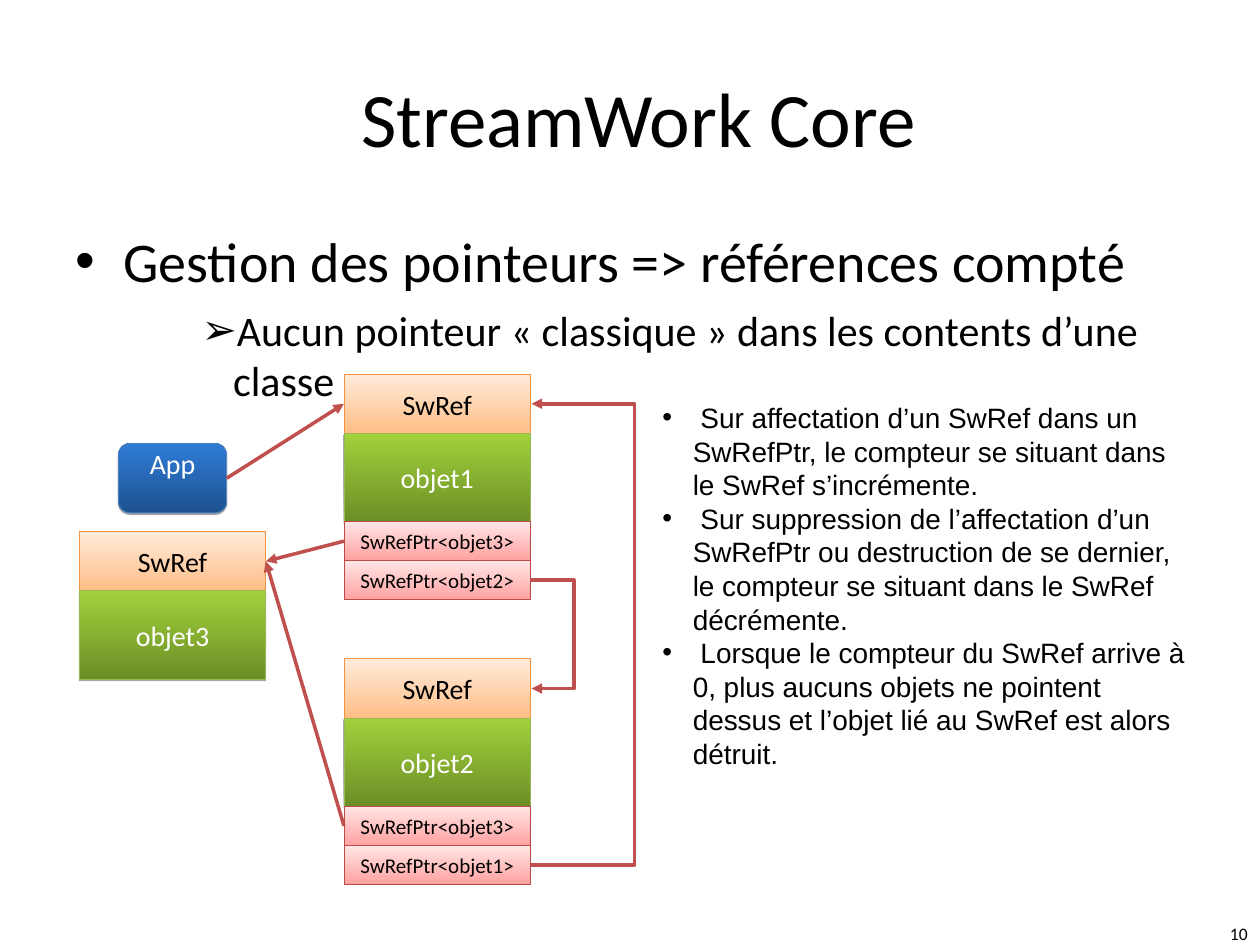
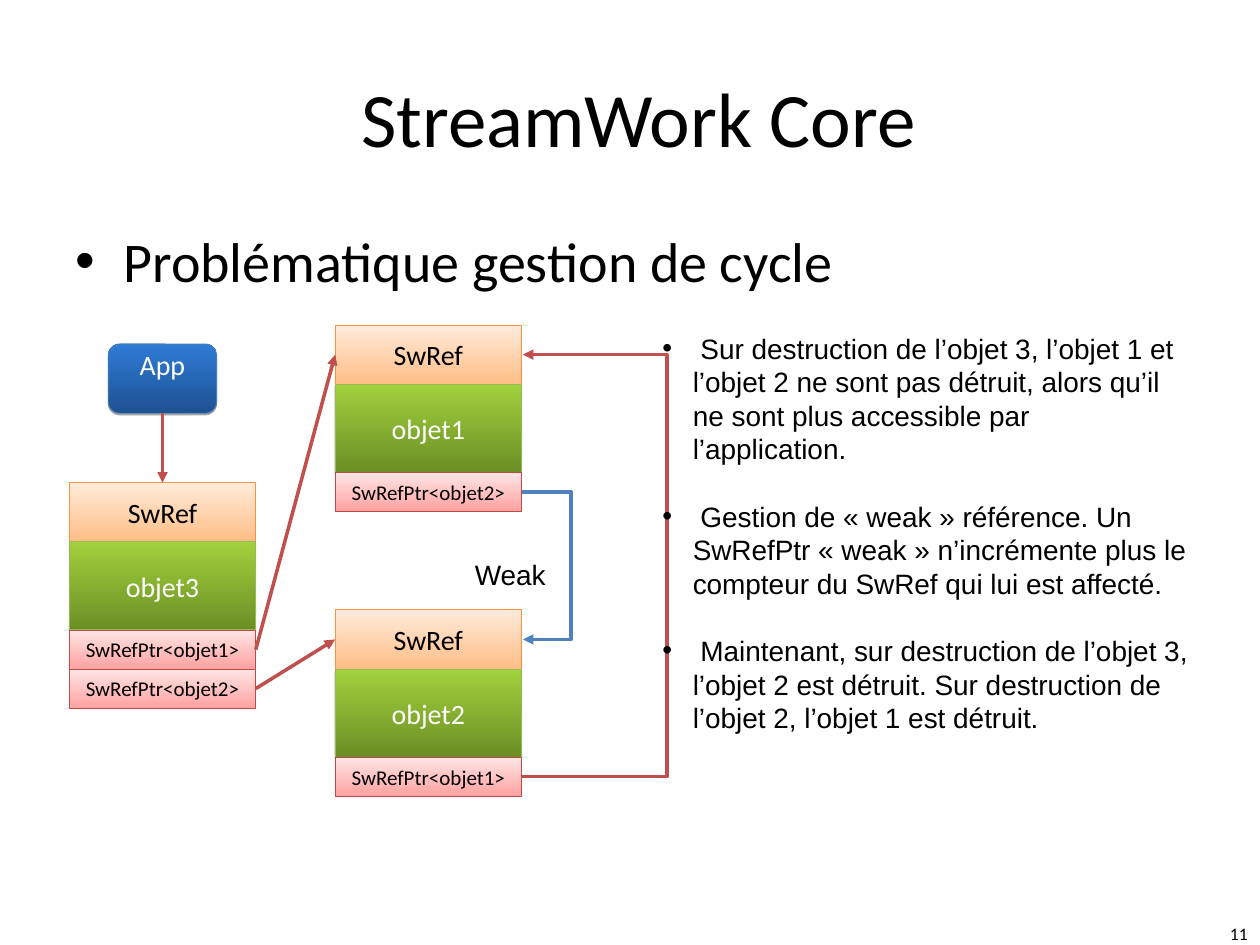
from lxml.etree import SubElement
from pptx import Presentation
from pptx.dml.color import RGBColor
from pptx.enum.shapes import MSO_CONNECTOR, MSO_SHAPE
from pptx.enum.text import MSO_ANCHOR, MSO_AUTO_SIZE, PP_ALIGN
from pptx.oxml.ns import qn
from pptx.util import Inches, Pt

BLACK = RGBColor(0x00, 0x00, 0x00)
WHITE = RGBColor(0xFF, 0xFF, 0xFF)
RED = RGBColor(0xC0, 0x50, 0x4D)
BLUE = RGBColor(0x4F, 0x81, 0xBD)

# Box styles: bottom colour, top colour, outline, text colour
ORANGE_BOX = (RGBColor(0xFF, 0xBE, 0x86), RGBColor(0xFF, 0xEB, 0xDB), RGBColor(0xF6, 0x92, 0x40), BLACK)
GREEN_BOX = (RGBColor(0x6C, 0x8E, 0x26), RGBColor(0xA1, 0xD1, 0x3C), RGBColor(0x98, 0xB9, 0x54), WHITE)
PINK_BOX = (RGBColor(0xFF, 0xA2, 0xA1), RGBColor(0xFF, 0xE5, 0xE5), RGBColor(0xBE, 0x4B, 0x48), BLACK)
BLUE_BOX = (RGBColor(0x1D, 0x52, 0x91), RGBColor(0x2F, 0x7B, 0xD6), RGBColor(0x4A, 0x7E, 0xBB), WHITE)

HEADING_FONT = "Calibri"
NOTE_FONT = "Arial"
NOTE_LINE = Pt(19.2)

OBJECT_WIDTH = 1.48
REF_HEIGHT, OBJECT_HEIGHT, POINTER_HEIGHT = 0.47, 0.7, 0.31

# Connection sites of a rectangle
TOP, LEFT, BOTTOM, RIGHT = range(4)


class Deck:
    def __init__(self):
        self.presentation = Presentation()
        self.presentation.slide_width = Inches(10)
        self.presentation.slide_height = Inches(7.5)
        self.slide = None

    def format_runs(self, paragraph, size, font=HEADING_FONT, color=BLACK):
        for run in paragraph.runs:
            run.font.size = Pt(size)
            run.font.name = font
            run.font.color.rgb = color

    def set_bullet(self, paragraph, character, margin, hanging):
        properties = paragraph._p.get_or_add_pPr()
        properties.set("marL", str(Inches(margin)))
        properties.set("indent", str(-Inches(hanging)))
        SubElement(properties, qn("a:buFont"), typeface="Arial")
        SubElement(properties, qn("a:buChar"), char=character)

    def place(self, shape, left, top, width, height):
        shape.left, shape.top = Inches(left), Inches(top)
        shape.width, shape.height = Inches(width), Inches(height)

    def add_slide(self, number, heading, detail=None):
        layout = self.presentation.slide_layouts[1]
        self.slide = self.presentation.slides.add_slide(layout)

        # Title
        title = self.slide.shapes.title
        self.place(title, 0.5, 0.3, 9, 1.25)
        title.text_frame.text = " StreamWork Core"
        title.text_frame.vertical_anchor = MSO_ANCHOR.MIDDLE
        self.format_runs(title.text_frame.paragraphs[0], 44)

        # Heading and detail
        body = self.slide.placeholders[1]
        self.place(body, 0.5, 1.75, 9, 1.69 if detail else 0.67)
        frame = body.text_frame
        frame.auto_size = MSO_AUTO_SIZE.NONE
        paragraph = frame.paragraphs[0]
        paragraph.text = heading
        self.set_bullet(paragraph, "•", 0.38, 0.38)
        paragraph.space_before = Pt(0)
        self.format_runs(paragraph, 32)
        if detail:
            paragraph = frame.add_paragraph()
            paragraph.text = detail
            paragraph.level = 2
            self.set_bullet(paragraph, "➢", 1.25, 0.25)
            paragraph.space_before = Pt(6)
            self.format_runs(paragraph, 24)

        # Slide number
        frame = self.add_text_frame(7.67, 7.21, 2.33, 0.4)
        frame.vertical_anchor = MSO_ANCHOR.MIDDLE
        frame.text = str(number)
        frame.paragraphs[0].alignment = PP_ALIGN.RIGHT
        self.format_runs(frame.paragraphs[0], 10)

    def add_text_frame(self, left, top, width, height):
        box = self.slide.shapes.add_textbox(Inches(left), Inches(top), Inches(width), Inches(height))
        box.text_frame.word_wrap = True
        return box.text_frame

    def add_label(self, text, left, top, width, height):
        frame = self.add_text_frame(left, top, width, height)
        frame.text = text
        frame.paragraphs[0].line_spacing = NOTE_LINE
        self.format_runs(frame.paragraphs[0], 16, NOTE_FONT)

    def add_notes_list(self, top, items, gap=Pt(0)):
        frame = self.add_text_frame(5.16, top, 4.37, 3.03)
        for index, item in enumerate(items):
            paragraph = frame.add_paragraph() if index else frame.paragraphs[0]
            paragraph.text = " " + item
            self.set_bullet(paragraph, "•", 0.24, 0.24)
            paragraph.line_spacing = NOTE_LINE
            paragraph.space_before = gap if index else Pt(0)
            self.format_runs(paragraph, 16, NOTE_FONT)

    def add_box(self, text, left, top, width, height, style, size=16, kind=MSO_SHAPE.RECTANGLE):
        bottom_color, top_color, line_color, text_color = style
        shape = self.slide.shapes.add_shape(kind, Inches(left), Inches(top), Inches(width), Inches(height))
        shape.fill.gradient()
        shape.fill.gradient_angle = 90
        for stop, color in zip(shape.fill.gradient_stops, (bottom_color, top_color)):
            stop.color.rgb = color
        shape.line.color.rgb = line_color
        shape.line.width = Pt(0.5)
        shape.shadow.inherit = False
        if text_color == WHITE:
            self.add_shadow(shape)
        frame = shape.text_frame
        frame.vertical_anchor = MSO_ANCHOR.MIDDLE
        frame.text = text
        frame.paragraphs[0].alignment = PP_ALIGN.CENTER
        self.format_runs(frame.paragraphs[0], size, color=text_color)
        return shape

    def add_shadow(self, shape):
        effects = shape.element.spPr.find(qn("a:effectLst"))
        shadow = SubElement(effects, qn("a:outerShdw"), dist=str(Pt(1)), dir="5400000", rotWithShape="0")
        color = SubElement(shadow, qn("a:srgbClr"), val=str(BLACK))
        SubElement(color, qn("a:alpha"), val="35000")

    def add_app(self, left, top):
        app = self.add_box("App", left, top, 0.86, 0.55, BLUE_BOX, kind=MSO_SHAPE.ROUNDED_RECTANGLE)
        app.text_frame.vertical_anchor = MSO_ANCHOR.TOP
        app.text_frame.margin_top = 0
        return app

    def add_object(self, number, left, top, targets=()):
        """Stack a counter, an object and its pointers; return counter and pointers."""
        counter = self.add_box("SwRef", left, top, OBJECT_WIDTH, REF_HEIGHT, ORANGE_BOX)
        top += REF_HEIGHT
        self.add_box(f"objet{number}", left, top, OBJECT_WIDTH, OBJECT_HEIGHT, GREEN_BOX)
        top += OBJECT_HEIGHT
        pointers = [
            self.add_box(f"SwRefPtr<objet{target}>", left, top + index * POINTER_HEIGHT,
                         OBJECT_WIDTH, POINTER_HEIGHT, PINK_BOX, size=12)
            for index, target in enumerate(targets)
        ]
        return counter, pointers

    def style_arrow(self, connector, color):
        connector.line.color.rgb = color
        connector.line.width = Pt(2)
        properties = connector.element.spPr
        SubElement(properties.find(qn("a:ln")), qn("a:tailEnd"), type="triangle")
        SubElement(properties, qn("a:effectLst"))

    def add_arrow(self, source, source_site, target, target_site):
        connector = self.slide.shapes.add_connector(MSO_CONNECTOR.STRAIGHT, 0, 0, 0, 0)
        connector.begin_connect(source, source_site)
        connector.end_connect(target, target_site)
        self.style_arrow(connector, RED)

    def add_loop(self, source, target, reach, color=RED):
        """Elbow arrow leaving and arriving on the right, bulging out by reach inches."""
        right = source.left + source.width
        offset = Inches(0.01)
        connector = self.slide.shapes.add_connector(
            MSO_CONNECTOR.ELBOW,
            right, source.top + source.height // 2,
            right + offset, target.top + target.height // 2)
        guides = connector.element.spPr.find(qn("a:prstGeom")).find(qn("a:avLst"))
        bend = round(Inches(reach) / offset * 100000)
        SubElement(guides, qn("a:gd"), name="adj1", fmla=f"val {bend}")
        self.style_arrow(connector, color)


def build_counting_slide(deck):
    deck.add_slide(10, "Gestion des pointeurs => références compté",
                   "Aucun pointeur « classique » dans les contents d’une classe")
    # Objects
    counter3, _ = deck.add_object(3, 0.63, 4.22)
    counter2, (pointer2_to_3, pointer2_to_1) = deck.add_object(2, 2.73, 5.23, (3, 1))
    counter1, (pointer1_to_3, pointer1_to_2) = deck.add_object(1, 2.73, 2.97, (3, 2))
    app = deck.add_app(0.94, 3.52)
    # References
    deck.add_arrow(pointer1_to_3, LEFT, counter3, RIGHT)
    deck.add_arrow(pointer2_to_3, LEFT, counter3, RIGHT)
    deck.add_arrow(app, RIGHT, counter1, LEFT)
    deck.add_loop(pointer1_to_2, counter2, 0.35)
    deck.add_loop(pointer2_to_1, counter1, 0.84)
    # Explanation
    deck.add_notes_list(3.13, [
        "Sur affectation d’un SwRef dans un SwRefPtr, le compteur se situant dans le SwRef s’incrémente.",
        "Sur suppression de l’affectation d’un SwRefPtr ou destruction de se dernier, "
        "le compteur se situant dans le SwRef décrémente.",
        "Lorsque le compteur du SwRef arrive à 0, plus aucuns objets ne pointent dessus "
        "et l’objet lié au SwRef est alors détruit.",
    ])


def build_cycle_slide(deck):
    deck.add_slide(11, "Problématique gestion de cycle")
    # Objects
    counter3, (pointer3_to_1, pointer3_to_2) = deck.add_object(3, 0.55, 3.83, (1, 2))
    counter2, (pointer2_to_1,) = deck.add_object(2, 2.66, 4.84, (1,))
    counter1, (pointer1_to_2,) = deck.add_object(1, 2.66, 2.58, (2,))
    app = deck.add_app(0.86, 2.73)
    # References
    deck.add_arrow(pointer3_to_1, RIGHT, counter1, LEFT)
    deck.add_arrow(pointer3_to_2, RIGHT, counter2, LEFT)
    deck.add_arrow(app, BOTTOM, counter3, TOP)
    deck.add_loop(pointer1_to_2, counter2, 0.4, BLUE)
    deck.add_loop(pointer2_to_1, counter1, 1.17)
    deck.add_label("Weak", 3.67, 4.38, 0.77, 0.37)
    # Explanation
    deck.add_notes_list(2.58, [
        "Sur destruction de l’objet 3, l’objet 1 et l’objet 2 ne sont pas détruit, "
        "alors qu’il ne sont plus accessible par l’application.",
        "Gestion de « weak » référence. Un SwRefPtr « weak » n’incrémente plus le compteur "
        "du SwRef qui lui est affecté.",
        "Maintenant, sur destruction de l’objet 3, l’objet 2 est détruit. "
        "Sur destruction de l’objet 2, l’objet 1 est détruit.",
    ], gap=NOTE_LINE)


def main():
    deck = Deck()
    build_counting_slide(deck)
    build_cycle_slide(deck)
    deck.presentation.save("out.pptx")


if __name__ == "__main__":
    main()
